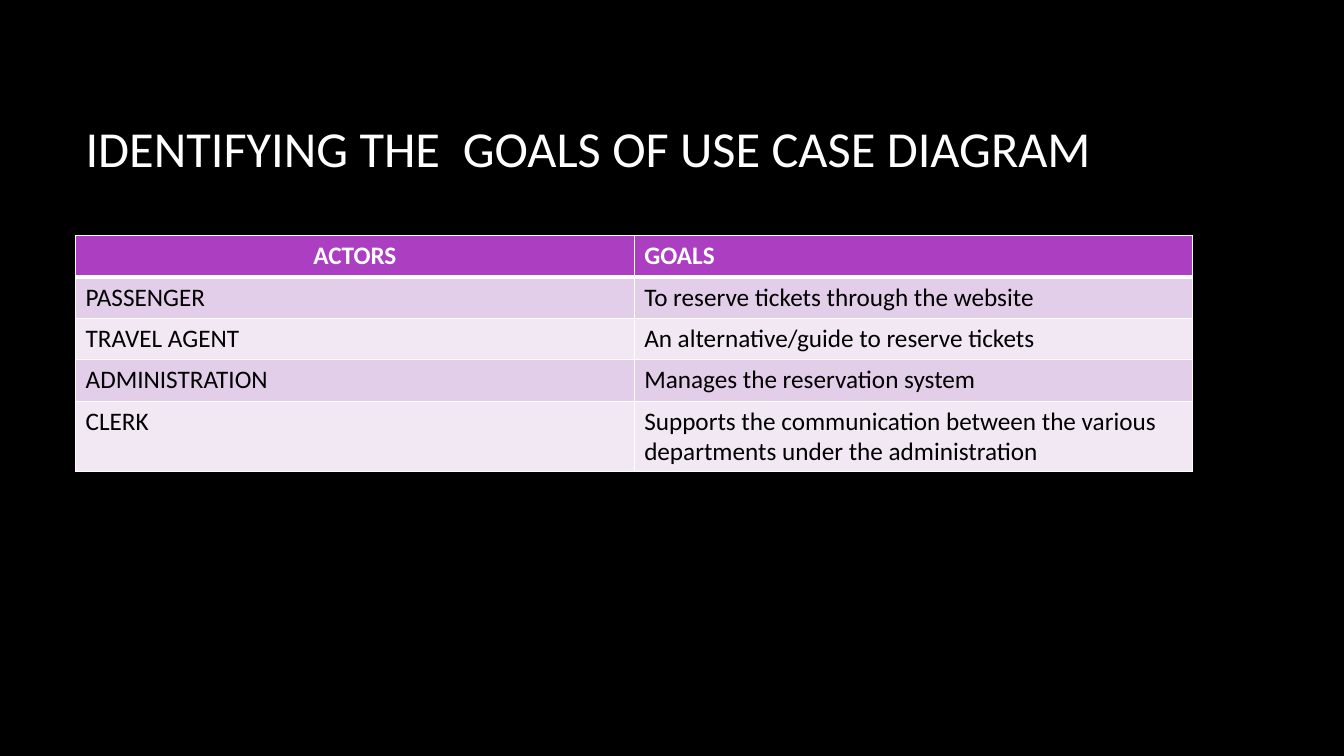
"""Build a slide that lists the actors of a use case diagram and their goals."""
import dataclasses

import pptx
import pptx.dml.color
import pptx.enum.text
import pptx.oxml
import pptx.oxml.ns
import pptx.util

Inches = pptx.util.Inches
Pt = pptx.util.Pt
ALIGN = pptx.enum.text.PP_ALIGN
ANCHOR = pptx.enum.text.MSO_ANCHOR


@dataclasses.dataclass(frozen=True)
class Theme:
    """Hold the colours, type sizes and line widths of the slide."""
    font: str = "Calibri"
    back: str = "000000"
    light: str = "FFFFFF"
    dark: str = "000000"
    head: str = "AC3EC1"
    bands: tuple = ("E3CEE9", "F1E8F4")
    title: int = 36
    body: int = 18
    thin: int = 1
    thick: int = 3


THEME = Theme()
TITLE = "IDENTIFYING THE  GOALS OF USE CASE DIAGRAM"
GOALS = [
    ("ACTORS", "GOALS"),
    ("PASSENGER", "To reserve tickets through the website"),
    ("TRAVEL AGENT", "An alternative/guide to reserve tickets"),
    ("ADMINISTRATION", "Manages the reservation system"),
    ("CLERK", "Supports the communication between the various "
              "departments under the administration"),
]
LEFT, WIDTH = Inches(0.75), Inches(11.08)


def apply(item, values):
    """Set each named value on an object."""
    for name, value in values.items():
        setattr(item, name, value)


def paint(fill, tint):
    """Make a fill solid in one colour."""
    fill.solid()
    fill.fore_color.rgb = pptx.dml.color.RGBColor.from_string(tint)


def write(frame, text, size, tint, bold=False, align=ALIGN.LEFT):
    """Put one styled paragraph into a text frame."""
    para = frame.paragraphs[0]
    para.alignment = align
    run = para.add_run()
    run.text = text
    apply(run.font, {"name": THEME.font, "size": Pt(size), "bold": bold})
    paint(run.font.fill, tint)


def edge(cell, widths):
    """Draw the borders of a cell, given the width of each side."""
    props = cell._tc.get_or_add_tcPr()
    space = pptx.oxml.ns.nsdecls("a")
    for place, (side, width) in enumerate(widths.items()):
        props.insert(place, pptx.oxml.parse_xml(
            f'<a:ln{side} {space} w="{Pt(width)}"><a:solidFill>'
            f'<a:srgbClr val="{THEME.light}"/></a:solidFill></a:ln{side}>'))


def title(slide):
    """Add the heading of the slide."""
    box = slide.shapes.add_textbox(LEFT, Inches(0.67), WIDTH, Inches(1.59))
    apply(box.text_frame, {"word_wrap": True, "vertical_anchor": ANCHOR.MIDDLE})
    write(box.text_frame, TITLE, THEME.title, THEME.light)


def style(cell, text, row, col):
    """Fill, border and write one table cell."""
    top = row == 0
    paint(cell.fill, THEME.head if top else THEME.bands[(row - 1) % 2])
    edge(cell, {"L": THEME.thin, "R": THEME.thin,
                "T": THEME.thick if row == 1 else THEME.thin,
                "B": THEME.thick if top else THEME.thin})
    write(cell.text_frame, text, THEME.body,
          THEME.light if top else THEME.dark, top,
          ALIGN.CENTER if top and col == 0 else ALIGN.LEFT)


def table(slide):
    """Add the table of actors and goals."""
    count = len(GOALS)
    grid = slide.shapes.add_table(
        count, 2, LEFT, Inches(2.34), WIDTH, Inches(0.41) * count).table
    for row, texts in enumerate(GOALS):
        for col, text in enumerate(texts):
            style(grid.cell(row, col), text, row, col)


def main():
    """Build and save the slide."""
    deck = pptx.Presentation()
    apply(deck, {"slide_width": Inches(13.33), "slide_height": Inches(7.5)})
    slide = deck.slides.add_slide(deck.slide_layouts[6])
    paint(slide.background.fill, THEME.back)
    title(slide)
    table(slide)
    deck.save("out.pptx")


if __name__ == "__main__":
    main()
